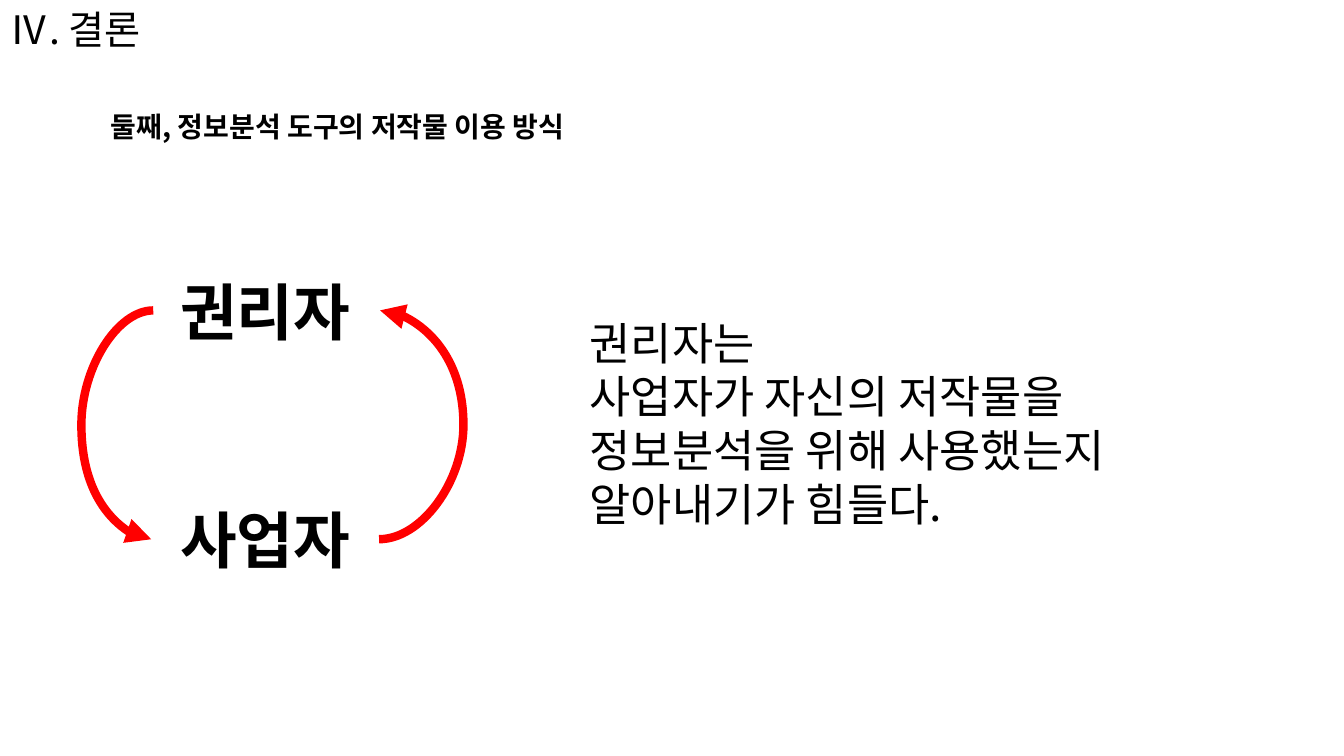
from pptx import Presentation
from pptx.dml.color import RGBColor
from pptx.enum.shapes import MSO_CONNECTOR
from pptx.enum.text import MSO_ANCHOR, MSO_AUTO_SIZE, PP_ALIGN
from pptx.oxml import parse_xml
from pptx.oxml.ns import nsdecls
from pptx.util import Inches, Pt

THEME = {
    "font": "Noto Sans CJK KR",
    "text": RGBColor(0, 0, 0),
    "arrow": RGBColor(255, 0, 0),
    "arrow_width": Pt(6),
    "title": {"size": Pt(28), "bold": False},
    "subtitle": {"size": Pt(20), "bold": True},
    "party": {"size": Pt(44), "bold": True},
    "body": {"size": Pt(32), "bold": False},
}

SLIDE_W, SLIDE_H = 13.33, 7.5
TITLE = ["Ⅳ. 결론"]
SUBTITLE = ["둘째, 정보분석 도구의 저작물 이용 방식"]
PARTIES = ["권리자", "사업자"]
CONCLUSION = [
    "권리자는",
    "사업자가 자신의 저작물을",
    "정보분석을 위해 사용했는지",
    "알아내기가 힘들다.",
]

PARTY_X, PARTY_Y, PARTY_W, PARTY_H = 1.5, 2.66, 2.26, 0.84
PARTY_STEP = 2.27
SUBTITLE_INDENT = 1


def add_text(slide, lines, box, role, align=PP_ALIGN.LEFT, anchor=MSO_ANCHOR.TOP, indent=0):
    frame = slide.shapes.add_textbox(*map(Inches, box)).text_frame
    frame_format = {
        "word_wrap": True,
        "auto_size": MSO_AUTO_SIZE.SHAPE_TO_FIT_TEXT,
        "vertical_anchor": anchor,
        "text": "\n".join(lines),
    }
    for name, value in frame_format.items():
        setattr(frame, name, value)
    for line in frame.paragraphs:
        line.alignment = align
        if indent:
            line._p.get_or_add_pPr().set("marL", str(Inches(indent)))
        run = line.runs[0]
        for name, value in {"name": THEME["font"], **THEME[role]}.items():
            setattr(run.font, name, value)
        run.font.color.rgb = THEME["text"]
        run._r.get_or_add_rPr().append(
            parse_xml(f'<a:ea {nsdecls("a")} typeface="{THEME["font"]}"/>')
        )


def add_arrow(slide, start, end, bend_x):
    arrow = slide.shapes.add_connector(MSO_CONNECTOR.CURVE, *map(Inches, start + end))
    arrow.line.color.rgb = THEME["arrow"]
    arrow.line.width = THEME["arrow_width"]
    arrow.line._get_or_add_ln().append(
        parse_xml(f'<a:tailEnd {nsdecls("a")} type="triangle"/>')
    )
    bend = round((bend_x - start[0]) / (end[0] - start[0]) * 100000)
    arrow._element.spPr.prstGeom.get_or_add_avLst().append(
        parse_xml(f'<a:gd {nsdecls("a")} name="adj1" fmla="val {bend}"/>')
    )
    arrow._element.spPr.append(parse_xml(f'<a:effectLst {nsdecls("a")}/>'))


def main():
    deck = Presentation()
    deck.slide_width, deck.slide_height = Inches(SLIDE_W), Inches(SLIDE_H)
    slide = deck.slides.add_slide(deck.slide_layouts[6])

    add_text(slide, TITLE, (0, 0, SLIDE_W, 1.04), "title")
    add_text(slide, SUBTITLE, (0, 1.04, SLIDE_W, 0.44), "subtitle", indent=SUBTITLE_INDENT)

    for row, party in enumerate(PARTIES):
        box = (PARTY_X, PARTY_Y + row * PARTY_STEP, PARTY_W, PARTY_H)
        add_text(slide, [party], box, "party", PP_ALIGN.CENTER, MSO_ANCHOR.MIDDLE)

    holder_y = PARTY_Y + PARTY_H / 2
    business_y = holder_y + PARTY_STEP
    left, right = PARTY_X, PARTY_X + PARTY_W
    add_arrow(slide, (left + 0.02, holder_y), (left, business_y), 0.81)
    add_arrow(slide, (right, business_y), (right + 0.01, holder_y), 4.61)

    add_text(slide, CONCLUSION, (5.75, holder_y, 6.34, 2.26), "body")
    deck.save("out.pptx")


if __name__ == "__main__":
    main()
